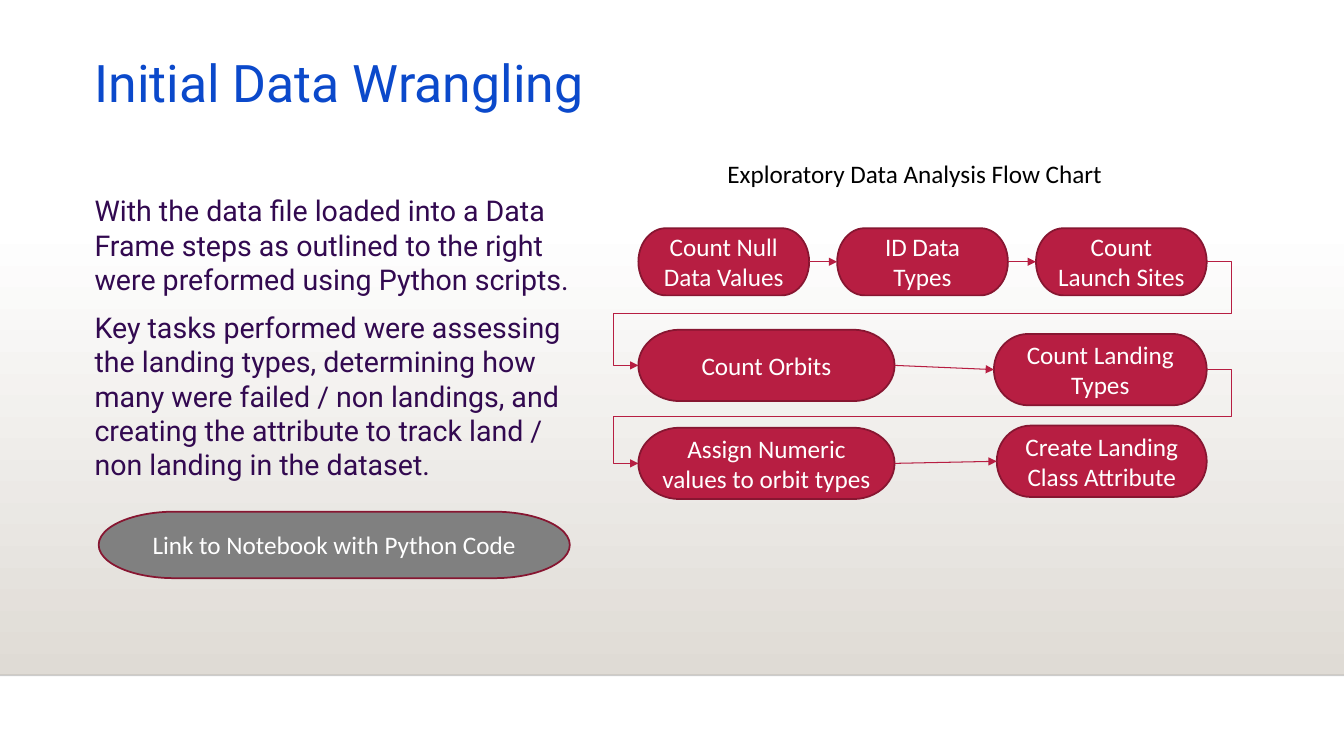
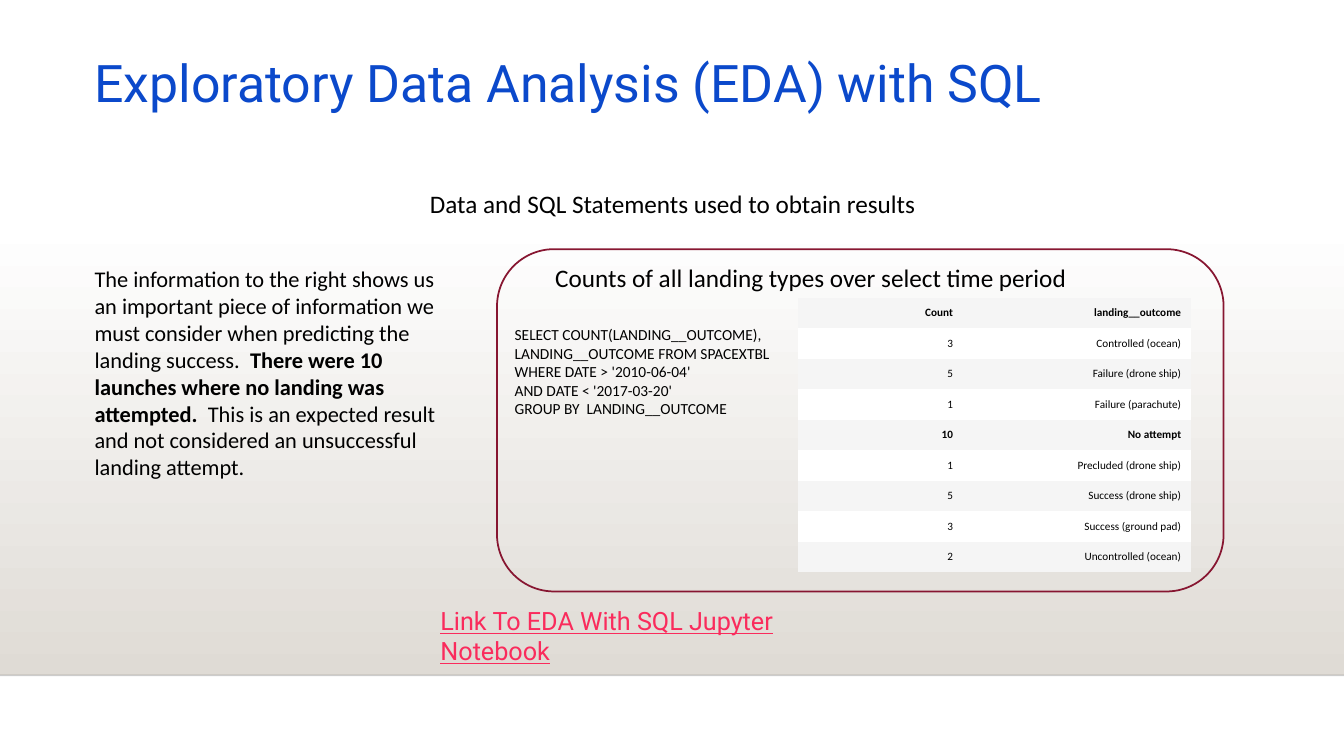
from itertools import pairwise

from lxml.etree import SubElement
from pptx import Presentation
from pptx.dml.color import RGBColor
from pptx.enum.shapes import MSO_CONNECTOR as Link, MSO_SHAPE as Shape
from pptx.enum.text import MSO_ANCHOR as Anchor, PP_ALIGN as Align
from pptx.oxml.ns import qn
from pptx.util import Pt

WIDTH, HEIGHT = 960, 540
BAND_TOP, BAND_BOTTOM = 159, 482.4
LEFT = 60.5
HEADING, BODY = "Roboto", "Calibri"
WHITE, BLACK, GREY = "FFFFFF", "000000", "808080"
BLUE, PURPLE, PINK = "0B49CB", "320950", "FA2B5C"
RED, DARK_RED = "B71E42", "871631"
SAND, STRIPE = "DFDBD5", "F5F5F5"
NO_TABLE_STYLE = "{2D5ABB26-0587-4C30-8999-92F81FD0307C}"
LEFT_SITE, RIGHT_SITE = 1, 3

STEPS = [
    [("Count Null Data Values", 456, 163, 122, 48),
     ("ID Data Types", 598, 163, 122, 48),
     ("Count Launch Sites", 740, 163, 122, 48)],
    [("Count Orbits", 456, 235.5, 183, 51),
     ("Count Landing Types", 710, 238.5, 152, 51)],
    [("Assign Numeric values to orbit types", 456, 305.5, 183, 51),
     ("Create Landing Class Attribute", 712, 304, 150, 51)],
]
WRANGLING = [
    "With the data file loaded into a Data Frame steps as outlined to the right "
    "were preformed using Python scripts.",
    "Key tasks performed were assessing the landing types, determining how many "
    "were failed / non landings, and creating the attribute to track land / "
    "non landing in the dataset.",
]
FINDING = (
    "The information to the right shows us an important piece of information we "
    "must consider when predicting the landing success.  **There were 10 launches "
    "where no landing was attempted.**  This is an expected result and not "
    "considered an unsuccessful landing attempt."
)
QUERY = [
    "SELECT COUNT(LANDING__OUTCOME), LANDING__OUTCOME FROM SPACEXTBL",
    "WHERE DATE > '2010-06-04'",
    "AND DATE < '2017-03-20'",
    "GROUP BY  LANDING__OUTCOME",
]
OUTCOMES = [
    ("Count", "landing__outcome"),
    ("3", "Controlled (ocean)"),
    ("5", "Failure (drone ship)"),
    ("1", "Failure (parachute)"),
    ("10", "No attempt"),
    ("1", "Precluded (drone ship)"),
    ("5", "Success (drone ship)"),
    ("3", "Success (ground pad)"),
    ("2", "Uncontrolled (ocean)"),
]
BOLD_ROWS = (0, 4)


def rgb(code):
    """Turn a hex string into a colour."""
    return RGBColor.from_string(code)


def points(*lengths):
    """Turn numbers into point lengths."""
    return [Pt(length) for length in lengths]


def style(paragraph, size, color=BLACK, font=BODY, align=Align.LEFT, bold=None):
    """Set the alignment and font of a paragraph."""
    paragraph.alignment = align
    paragraph.font.name = font
    paragraph.font.size = Pt(size)
    paragraph.font.color.rgb = rgb(color)
    paragraph.font.bold = bold


def add_text(page, area, texts, size, color=BLACK, font=BODY, gap=0):
    """Add a text box with one paragraph per text, bold between double stars."""
    frame = page.shapes.add_textbox(*points(*area)).text_frame
    frame.word_wrap = True
    for index, text in enumerate(texts):
        paragraph = frame.paragraphs[0] if index == 0 else frame.add_paragraph()
        for part, words in enumerate(text.split("**")):
            span = paragraph.add_run()
            span.text = words
            if part % 2:
                span.font.bold = True
        style(paragraph, size, color, font)
        if index and gap:
            paragraph.space_before = Pt(gap)
    return frame


def add_outline(page, kind, area, fill=None):
    """Add a dark red outlined shape, filled if a colour is given."""
    shape = page.shapes.add_shape(kind, *points(*area))
    shape.shadow.inherit = False
    if fill:
        shape.fill.solid()
        shape.fill.fore_color.rgb = rgb(fill)
    else:
        shape.fill.background()
    shape.line.color.rgb = rgb(DARK_RED)
    shape.line.width = Pt(1.25)
    return shape


def add_pill(page, text, area, fill=RED):
    """Add a terminator shape with a centred white label."""
    pill = add_outline(page, Shape.FLOWCHART_TERMINATOR, area, fill)
    pill.text_frame.word_wrap = True
    pill.text_frame.vertical_anchor = Anchor.MIDDLE
    paragraph = pill.text_frame.paragraphs[0]
    paragraph.text = text
    style(paragraph, 18, WHITE, align=Align.CENTER)
    return pill


def add_line(page, kind, ends, color, width):
    """Add a connector without a shadow."""
    line = page.shapes.add_connector(kind, *points(*ends))
    line.line.color.rgb = rgb(color)
    line.line.width = Pt(width)
    SubElement(line._element.spPr, qn("a:effectLst"))
    return line


def add_arrow(page, source, target, kind=Link.STRAIGHT):
    """Join the right side of one shape to the left side of another."""
    arrow = add_line(page, kind, (0, 0, 0, 0), RED, 0.75)
    arrow.begin_connect(source, RIGHT_SITE)
    arrow.end_connect(target, LEFT_SITE)
    SubElement(arrow.line._get_or_add_ln(), qn("a:tailEnd"), type="triangle")
    return arrow


def add_return_arrow(page, source, target):
    """Lead from the end of one row round to the start of the next."""
    arrow = add_arrow(page, source, target, Link.ELBOW)
    geometry = arrow._element.spPr.find(qn("a:prstGeom"))
    geometry.set("prst", "bentConnector5")
    guides = geometry.find(qn("a:avLst"))
    if guides is None:
        guides = SubElement(geometry, qn("a:avLst"))
    for number, value in enumerate((-4400, 50000, 104400), 1):
        SubElement(guides, qn("a:gd"), name=f"adj{number}", fmla=f"val {value}")


def add_flow(page, rows):
    """Draw rows of steps and the arrows that join them."""
    pills = [[add_pill(page, text, area) for text, *area in row] for row in rows]
    for row in pills:
        for source, target in pairwise(row):
            add_arrow(page, source, target)
    for row, following in pairwise(pills):
        add_return_arrow(page, row[-1], following[0])


def add_outcomes(page, left, top, widths, row_height):
    """Add the striped table of landing outcomes."""
    table = page.shapes.add_table(
        len(OUTCOMES), len(widths),
        *points(left, top, sum(widths), row_height * len(OUTCOMES))).table
    table.first_row = table.horz_banding = False
    table._tbl.tblPr.find(qn("a:tableStyleId")).text = NO_TABLE_STYLE
    for column, width in zip(table.columns, widths):
        column.width = Pt(width)
    for index, (row, values) in enumerate(zip(table.rows, OUTCOMES)):
        row.height = Pt(row_height)
        for cell, value in zip(row.cells, values):
            cell.fill.solid()
            cell.fill.fore_color.rgb = rgb(WHITE if index % 2 else STRIPE)
            cell.vertical_anchor = Anchor.MIDDLE
            paragraph = cell.text_frame.paragraphs[0]
            paragraph.text = value
            style(paragraph, 8, align=Align.RIGHT, bold=index in BOLD_ROWS)


def add_page(deck, title):
    """Add a slide with the shared band, rule and title."""
    page = deck.slides.add_slide(deck.slide_layouts[6])
    band = page.shapes.add_shape(
        Shape.RECTANGLE, *points(0, BAND_TOP, WIDTH, BAND_BOTTOM - BAND_TOP))
    band.shadow.inherit = False
    band.line.fill.background()
    band.fill.gradient()
    band.fill.gradient_angle = 270
    for stop, position, color in zip(band.fill.gradient_stops, (0, 1), (WHITE, SAND)):
        stop.position = position
        stop.color.rgb = rgb(color)
    rule = add_line(page, Link.STRAIGHT, (0, BAND_BOTTOM, WIDTH, BAND_BOTTOM), BLACK, 1)
    tint = next(rule._element.spPr.iter(qn("a:srgbClr")))
    SubElement(tint, qn("a:alpha"), val="20000")
    frame = add_text(page, (LEFT, 42.5, 828, 43), [title], 37, BLUE, HEADING)
    frame.vertical_anchor = Anchor.MIDDLE
    frame.paragraphs[0].line_spacing = 0.7
    return page


def add_wrangling_page(deck):
    """Build the data wrangling slide."""
    page = add_page(deck, "Initial Data Wrangling")
    add_text(page, (LEFT, 134.5, 366, 221), WRANGLING, 20.4, PURPLE, HEADING, gap=10)
    add_flow(page, STEPS)
    add_text(page, (512.5, 109.5, 293, 29), ["Exploratory Data Analysis Flow Chart"], 18)
    add_pill(page, "Link to Notebook with Python Code", (70.5, 365.5, 336.5, 47.5), GREY)


def add_sql_page(deck):
    """Build the SQL analysis slide."""
    page = add_page(deck, "Exploratory Data Analysis (EDA) with SQL")
    link = add_text(page, (307.5, 429, 334, 29),
                    ["Link To EDA With SQL Jupyter Notebook"], 18, PINK, HEADING)
    link.paragraphs[0].font.underline = True
    add_text(page, (300, 131, 428, 29),
             ["Data and SQL Statements used to obtain results"], 18)
    add_outline(page, Shape.ROUNDED_RECTANGLE, (355, 178, 519, 244.5))
    add_text(page, (389.5, 183.5, 461.5, 29),
             ["Counts of all landing types over select time period"], 18)
    add_text(page, (360.5, 229, 209.5, 101), QUERY, 11)
    add_outcomes(page, 570, 212.5, (118, 163), 21.8)
    add_text(page, (LEFT, 186, 265.5, 163), [FINDING], 16)


def main():
    """Build and save the deck."""
    deck = Presentation()
    deck.slide_width, deck.slide_height = points(WIDTH, HEIGHT)
    add_wrangling_page(deck)
    add_sql_page(deck)
    deck.save("out.pptx")


if __name__ == "__main__":
    main()
